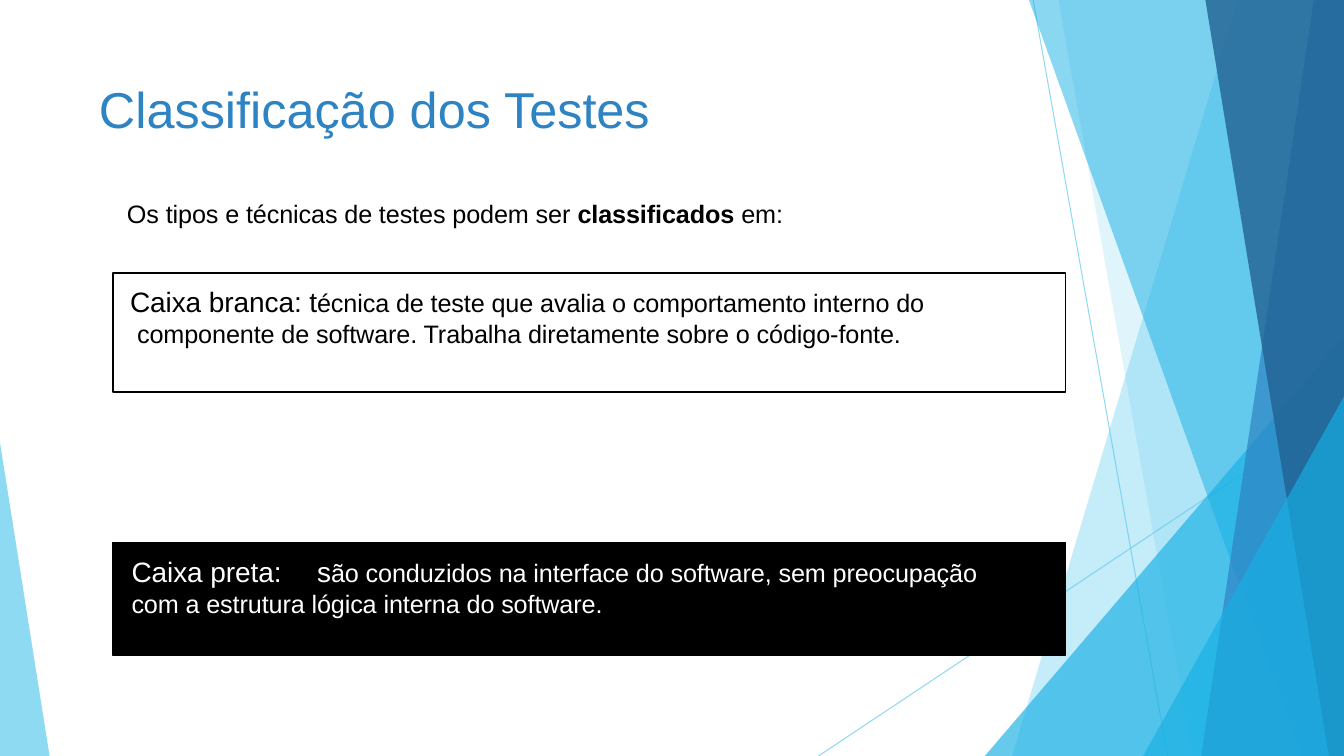
from dataclasses import dataclass

from lxml import etree
from pptx import Presentation
from pptx.dml.color import RGBColor
from pptx.enum.shapes import MSO_CONNECTOR, MSO_SHAPE
from pptx.enum.text import MSO_ANCHOR, PP_ALIGN
from pptx.oxml.ns import qn
from pptx.util import Inches, Pt

STRAIGHT = MSO_CONNECTOR.STRAIGHT
RECTANGLE = MSO_SHAPE.RECTANGLE
TRIANGLE = MSO_SHAPE.ISOSCELES_TRIANGLE
TOP = MSO_ANCHOR.TOP
LEFT = PP_ALIGN.LEFT

COLUMNS, ROWS = 160, 90
CELL = Pt(6)
TITLE_ONLY = 5


@dataclass(frozen=True)
class Theme:
    font: str = "Arial"
    title_size: int = 36
    lead_size: int = 20
    body_size: int = 18
    sky: str = "5FCBEF"
    cyan: str = "17B0E4"
    blue: str = "2E83C3"
    navy: str = "226292"
    black: str = "000000"
    white: str = "FFFFFF"


THEME = Theme()


def grid(*cells):
    return [round(cell * CELL) for cell in cells]


def rgb(color):
    return RGBColor.from_string(color)


def set_opacity(shape, percent):
    for color in shape._element.spPr.iter(qn("a:srgbClr")):
        etree.SubElement(color, qn("a:alpha"), val=str(percent * 1000))


def paint(shape, color, opacity):
    shape.shadow.inherit = False
    shape.fill.solid()
    shape.fill.fore_color.rgb = rgb(color)
    shape.line.fill.background()
    set_opacity(shape, opacity)


def add_ray(shapes, *ends):
    ray = shapes.add_connector(STRAIGHT, *grid(*ends))
    ray.line.color.rgb = rgb(THEME.sky)
    ray.line.width = Pt(0.75)
    set_opacity(ray, 70)
    etree.SubElement(ray._element.spPr, qn("a:effectLst"))


def add_band(shapes, top_left, bottom_left, color, opacity):
    """Fill from a slanted left edge to the right side of the slide."""
    builder = shapes.build_freeform(*grid(top_left, 0), scale=1.0)
    corners = [(COLUMNS, 0), (COLUMNS, ROWS), (bottom_left, ROWS)]
    builder.add_line_segments([grid(*corner) for corner in corners], close=True)
    paint(builder.convert_to_shape(), color, opacity)


def add_corner(shapes, left, top, right, apex, color, opacity):
    """Place a triangle on the bottom edge; apex is 0 for left, 1 for right."""
    corner = shapes.add_shape(TRIANGLE, *grid(left, top, right - left, ROWS - top))
    corner.adjustments[0] = apex
    paint(corner, color, opacity)


def add_facets(shapes):
    add_ray(shapes, 123, 0, 139, ROWS)
    add_ray(shapes, COLUMNS, 48.36, 97.44, ROWS)
    add_band(shapes, 147.36, 120.48, THEME.sky, 36)
    add_band(shapes, 126, 142, THEME.sky, 20)
    add_corner(shapes, 117.24, 40, COLUMNS, 1, THEME.cyan, 66)
    add_band(shapes, 122.5, 154.9, THEME.cyan, 50)
    add_band(shapes, 156.4, 143, THEME.blue, 70)
    add_band(shapes, 143.5, 158.2, THEME.navy, 80)
    add_corner(shapes, 136.08, 47.2, COLUMNS, 1, THEME.cyan, 66)
    add_corner(shapes, 0, 52.7, 5.9, 0, THEME.sky, 70)


def set_frame(box, left=0, top=0, right=0):
    frame = box.text_frame
    frame.word_wrap = True
    frame.vertical_anchor = TOP
    frame.margin_left, frame.margin_top, frame.margin_right = grid(left, top, right)
    frame.margin_bottom = 0
    return frame.paragraphs[0]


def style(para, size, color):
    para.alignment = LEFT
    para.font.name = THEME.font
    para.font.size = Pt(size)
    para.font.color.rgb = rgb(color)


def add_span(para, text):
    span = para.add_run()
    span.text = text
    span._r.get_or_add_rPr().set("spc", "-8")
    return span


def set_title(slide, text):
    title = slide.shapes.title
    title.left, title.top, title.width, title.height = grid(8.88, 8.04, 112.8, 17.28)
    para = set_frame(title, left=2.9, top=1.2)
    para.text = text
    style(para, THEME.title_size, THEME.blue)


def add_intro(slide, before, strong, after):
    box = slide.shapes.add_textbox(*grid(15, 23.64, 79.2, 3.84))
    para = set_frame(box, left=0.12)
    style(para, THEME.body_size, THEME.black)
    add_span(para, before)
    add_span(para, strong).font.bold = True
    add_span(para, after)


def add_definition(slide, place, fill, ink, lead, body, left, right=0):
    box = slide.shapes.add_shape(RECTANGLE, *grid(*place))
    box.shadow.inherit = False
    box.fill.solid()
    box.fill.fore_color.rgb = rgb(fill)
    box.line.color.rgb = rgb(THEME.black)
    box.line.width = Pt(1)
    para = set_frame(box, left=left, top=1.4, right=right)
    add_span(para, lead).font.size = Pt(THEME.lead_size)
    add_span(para, body)
    return para, ink


def set_indent(para, margin, first):
    properties = para._p.get_or_add_pPr()
    properties.set("marL", str(Inches(margin)))
    properties.set("indent", str(Inches(first)))


def add_tab(para, position):
    tabs = etree.SubElement(para._p.get_or_add_pPr(), qn("a:tabLst"))
    etree.SubElement(tabs, qn("a:tab"), pos=str(Inches(position)), algn="l")


def main():
    deck = Presentation()
    deck.slide_width, deck.slide_height = grid(COLUMNS, ROWS)
    slide = deck.slides.add_slide(deck.slide_layouts[TITLE_ONLY])
    add_facets(slide.shapes)
    set_title(slide, "Classificação dos Testes")
    add_intro(slide, "Os tipos e técnicas de testes podem ser ", "classificados ", "em:")

    white_box, ink = add_definition(
        slide, (13.44, 32.5, 113.4, 14.16), THEME.white, THEME.black,
        "Caixa branca: t",
        "écnica de teste que avalia o comportamento interno do componente "
        "de software. Trabalha diretamente sobre o código-fonte.",
        left=2.04, right=2)
    set_indent(white_box, 0.07, -0.07)
    style(white_box, THEME.body_size, ink)

    black_box, ink = add_definition(
        slide, (13.38, 64.6, 113.5, 13.4), THEME.black, THEME.white,
        "Caixa preta:\ts",
        "ão conduzidos na interface do software, sem preocupação com "
        "a estrutura lógica interna do software.",
        left=2.28, right=6)
    add_tab(black_box, 1.84)
    style(black_box, THEME.body_size, ink)

    deck.save("out.pptx")


if __name__ == "__main__":
    main()
